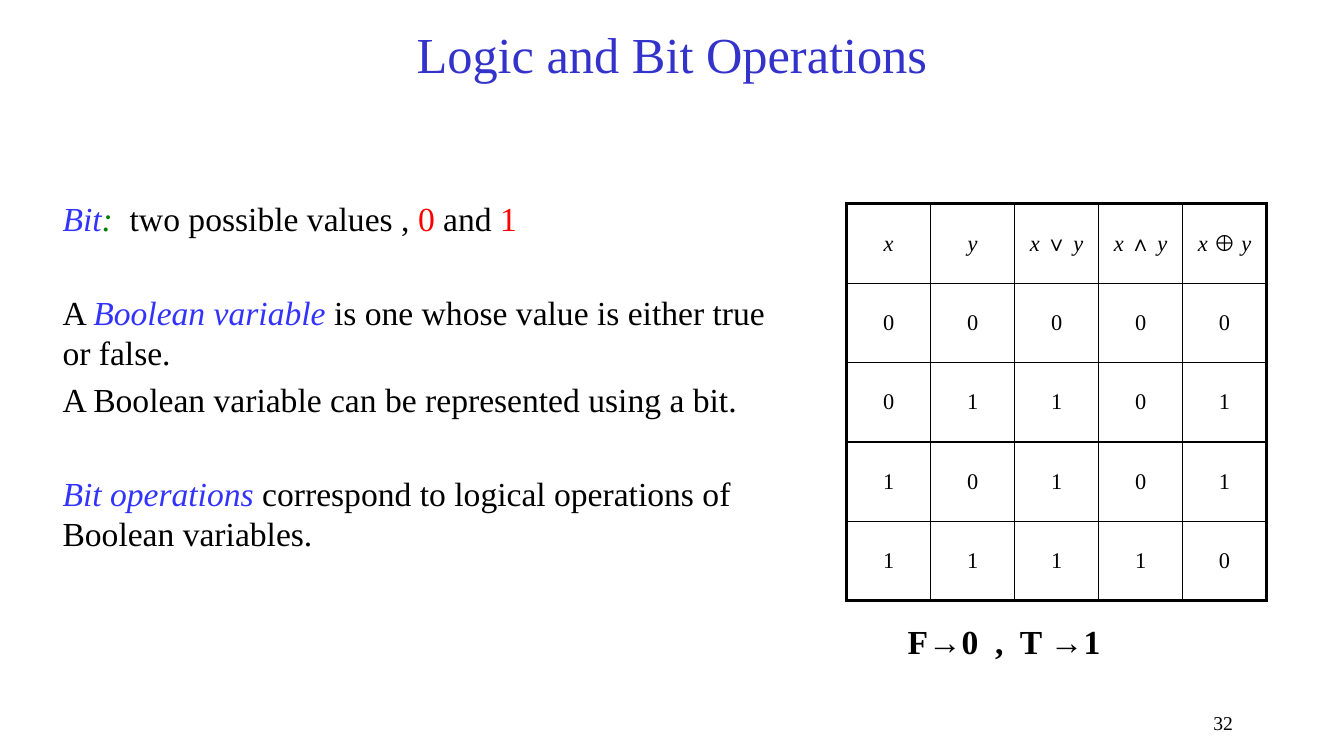
import pptx
import pptx.dml.color
import pptx.enum.text
import pptx.oxml.ns
import pptx.util
from lxml import etree

Pt = pptx.util.Pt
ALIGN = pptx.enum.text.PP_ALIGN
ANCHOR = pptx.enum.text.MSO_ANCHOR

THEME = {
    "font": "Times New Roman",
    "title": "3333CC", "term": "3333FF", "colon": "008000",
    "value": "FF0000", "ink": "000000",
    "title_size": 36, "body_size": 24, "cell_size": 16, "number_size": 14,
    "outer_line": 2.25, "inner_line": 1,
}

# A run is (text, colour name, italic).
TITLE = [("Logic and Bit Operations", "title", False)]
# Each paragraph is (space before, runs).
BODY = [
    (0, [("Bit", "term", True), (": ", "colon", True),
         (" two possible values , ", "ink", False), ("0", "value", False),
         (" and ", "ink", False), ("1", "value", False)]),
    (38.2, [("A ", "ink", False), ("Boolean variable", "term", True),
            (" is one whose value is either true or false.", "ink", False)]),
    (4.8, [("A Boolean variable can be represented using a bit.", "ink", False)]),
    (38.2, [("Bit operations", "term", True),
            (" correspond to logical operations of Boolean variables.", "ink", False)]),
]
HEADINGS = [
    [("x", "ink", True)],
    [("y", "ink", True)],
    [("x ", "ink", True), ("∨", "ink", False), (" y", "ink", True)],
    [("x ", "ink", True), ("∧ ", "ink", False), ("y", "ink", True)],
    [("x ", "ink", True), ("⊕", "ink", False), (" y", "ink", True)],
]
INPUTS = [(0, 0), (0, 1), (1, 0), (1, 1)]
CAPTION = [("F→0  ,  T →1", "ink", False)]
SLIDE_NUMBER = [("32", "ink", False)]

TITLE_BOX = (72, 9.4, 816, 56.9)
BODY_BOX = (37.6, 134, 532.8, 278)
CAPTION_BOX = (593.3, 440, 247.7, 36)
NUMBER_BOX = (735.8, 504, 152, 24)
TABLE_LEFT, TABLE_TOP = 604.8, 145.6
COLUMN_WIDTH, ROW_HEIGHT = 60, 56.7


def write_runs(paragraph, runs, size, align, bold=False):
    paragraph.alignment = align
    for text, colour, italic in runs:
        run = paragraph.add_run()
        run.text = text
        font = run.font
        font.name, font.size = THEME["font"], Pt(size)
        font.italic, font.bold = italic, bold
        font.color.rgb = pptx.dml.color.RGBColor.from_string(THEME[colour])


def add_text(slide, box, paragraphs, size, align, anchor=ANCHOR.TOP, bold=False):
    shape = slide.shapes.add_textbox(*map(Pt, box))
    frame = shape.text_frame
    frame.word_wrap = True
    frame.vertical_anchor = anchor
    for index, (space_before, runs) in enumerate(paragraphs):
        paragraph = frame.add_paragraph() if index else frame.paragraphs[0]
        if space_before:
            paragraph.space_before = Pt(space_before)
        write_runs(paragraph, runs, size, align, bold)
    return shape


def set_border(cell, side, width):
    """Draw one cell side: L, R, T or B, called in that order."""
    qn = pptx.oxml.ns.qn
    line = etree.SubElement(cell._tc.get_or_add_tcPr(), qn(f"a:ln{side}"),
                            w=str(int(Pt(width))))
    fill = etree.SubElement(line, qn("a:solidFill"))
    etree.SubElement(fill, qn("a:srgbClr"), val=THEME["ink"])


def add_truth_table(slide):
    rows = [HEADINGS] + [
        [[(str(value), "ink", False)] for value in (x, y, x | y, x & y, x ^ y)]
        for x, y in INPUTS
    ]
    last_row, last_column = len(rows) - 1, len(HEADINGS) - 1
    table = slide.shapes.add_table(
        len(rows), len(HEADINGS), Pt(TABLE_LEFT), Pt(TABLE_TOP),
        Pt(COLUMN_WIDTH * len(HEADINGS)), Pt(ROW_HEIGHT * len(rows))).table
    table.first_row = table.horz_banding = False
    for column in table.columns:
        column.width = Pt(COLUMN_WIDTH)
    for row_index, row in enumerate(rows):
        table.rows[row_index].height = Pt(ROW_HEIGHT)
        for column_index, runs in enumerate(row):
            cell = table.cell(row_index, column_index)
            cell.vertical_anchor = ANCHOR.MIDDLE
            write_runs(cell.text_frame.paragraphs[0], runs,
                       THEME["cell_size"], ALIGN.CENTER)
            outer_sides = {
                "L": column_index == 0, "R": column_index == last_column,
                "T": row_index == 0, "B": row_index == last_row,
            }
            for side, outer in outer_sides.items():
                set_border(cell, side, THEME["outer_line" if outer else "inner_line"])
            cell.fill.background()


def main():
    presentation = pptx.Presentation()
    presentation.slide_width, presentation.slide_height = Pt(960), Pt(540)
    slide = presentation.slides.add_slide(presentation.slide_layouts[6])
    add_text(slide, TITLE_BOX, [(0, TITLE)], THEME["title_size"],
             ALIGN.CENTER, ANCHOR.MIDDLE)
    body = add_text(slide, BODY_BOX, BODY, THEME["body_size"], ALIGN.LEFT)
    body.text_frame.margin_top = Pt(7.2)
    add_truth_table(slide)
    add_text(slide, NUMBER_BOX, [(0, SLIDE_NUMBER)], THEME["number_size"], ALIGN.RIGHT)
    add_text(slide, CAPTION_BOX, [(0, CAPTION)], THEME["body_size"],
             ALIGN.CENTER, bold=True)
    presentation.save("out.pptx")


if __name__ == "__main__":
    main()
